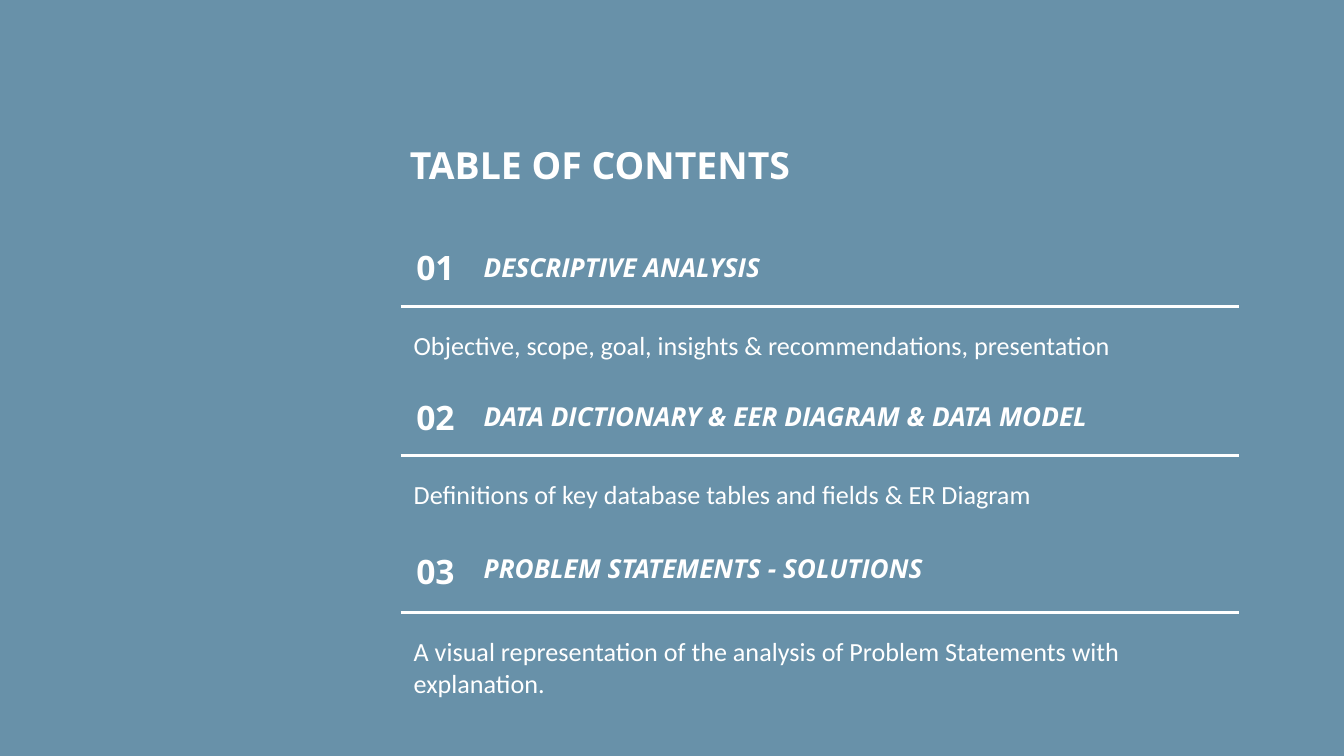
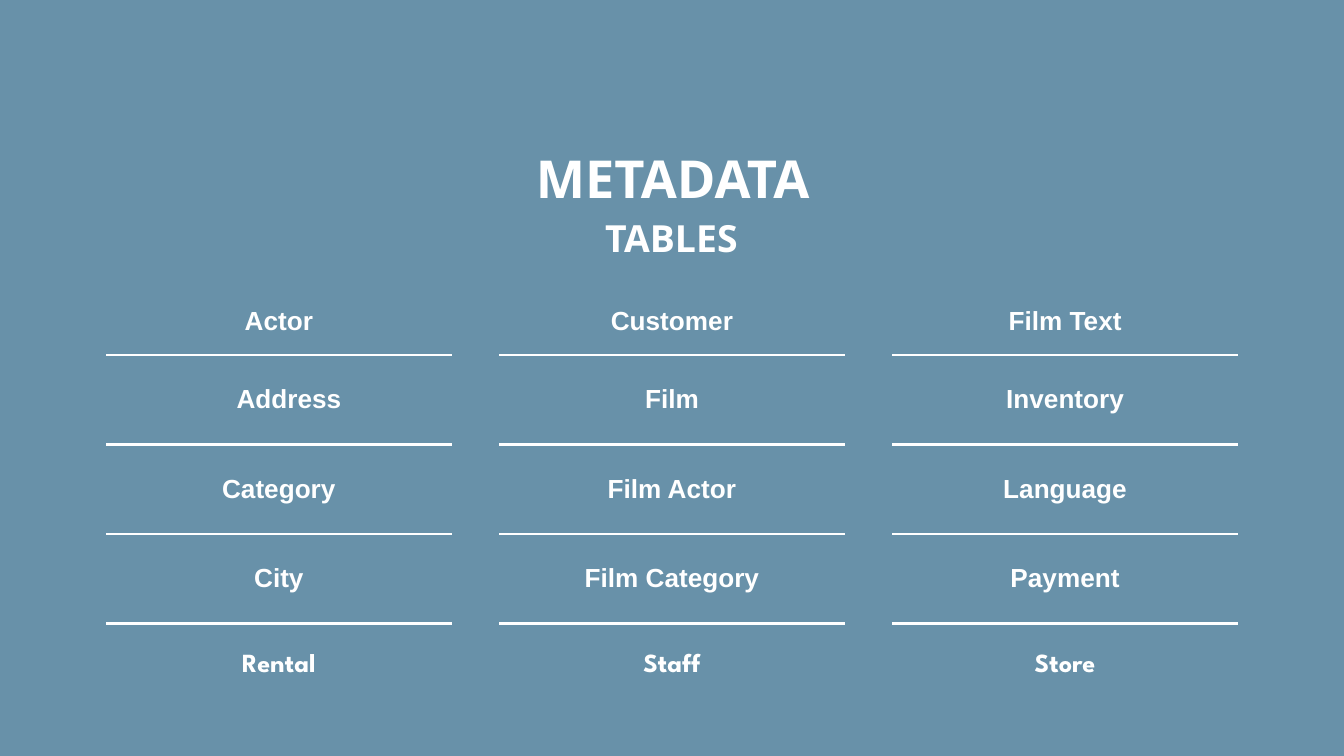
from collections import namedtuple
from dataclasses import dataclass

from lxml import etree
from pptx import Presentation
from pptx.dml.color import RGBColor
from pptx.enum import shapes, text
from pptx.oxml import ns
from pptx.util import Inches, Pt

Box = namedtuple("Box", "left top width height")


@dataclass(frozen=True)
class Theme:
    background: str = "6891A9"
    ink: str = "FFFFFF"
    heading_font: str = "Open Sans"
    body_font: str = "Calibri"
    table_font: str = "Arial"
    accent_font: str = "League Spartan"
    display_size: int = 28
    title_size: int = 20
    number_size: int = 18
    body_size: int = 14
    rule_width: float = 1.5
    inset: float = 0.1


THEME = Theme()
PLAIN_TABLE_STYLE = "{2D5ABB26-0587-4C30-8999-92F81FD0307C}"
LEFT, CENTER = text.PP_ALIGN.LEFT, text.PP_ALIGN.CENTER
TOP, MIDDLE = text.MSO_ANCHOR.TOP, text.MSO_ANCHOR.MIDDLE

CONTENTS = [
    # number, heading, description, top, heading height
    ("01", "DESCRIPTIVE ANALYSIS",
     "Objective, scope, goal, insights & recommendations, presentation", 1.77, 0.44),
    ("02", "DATA DICTIONARY & EER DIAGRAM & DATA MODEL",
     "Definitions of key database tables and fields & ER Diagram", 2.88, 0.44),
    ("03", "PROBLEM STATEMENTS - SOLUTIONS",
     "A visual representation of the analysis of Problem Statements with explanation.",
     4.01, 0.48),
]
TABLE_COLUMNS = [
    (["Actor", "Address", "Category", "City"], "Rental"),
    (["Customer", "Film", "Film Actor", "Film Category"], "Staff"),
    (["Film Text", "Inventory", "Language", "Payment"], "Store"),
]


def inches(box):
    return [Inches(value) for value in box]


def add_span(para, content, font=THEME.body_font, size=THEME.body_size, bold=False,
             italic=False, align=LEFT):
    para.alignment = align
    span = para.add_run()
    span.text = content
    span.font.name, span.font.size = font, Pt(size)
    span.font.bold, span.font.italic = bold, italic
    span.font.color.rgb = RGBColor.from_string(THEME.ink)


def write(frame, content, anchor=TOP, inset_y=THEME.inset, **style):
    """Fill a text frame with one formatted paragraph."""
    frame.word_wrap = True
    frame.auto_size = text.MSO_AUTO_SIZE.NONE
    frame.vertical_anchor = anchor
    frame.margin_left = frame.margin_right = Inches(THEME.inset)
    frame.margin_top = frame.margin_bottom = Inches(inset_y)
    add_span(frame.paragraphs[0], content, **style)


def add_text(parent, box, content, **style):
    write(parent.add_textbox(*inches(box)).text_frame, content, **style)


def set_title(page, box, content, size):
    title = page.shapes.title
    title.left, title.top, title.width, title.height = inches(box)
    write(title.text_frame, content, font=THEME.heading_font, size=size,
          bold=True, align=CENTER)


def add_rule(parent, left, top, width):
    ends = inches((left, top, left + width, top))
    rule = parent.add_connector(shapes.MSO_CONNECTOR.STRAIGHT, *ends)
    rule.line.color.rgb = RGBColor.from_string(THEME.ink)
    rule.line.width = Pt(THEME.rule_width)
    etree.SubElement(rule._element.spPr, ns.qn("a:effectLst"))


def add_bottom_border(cell):
    border = etree.Element(ns.qn("a:lnB"), w=str(Pt(THEME.rule_width)))
    fill = etree.SubElement(border, ns.qn("a:solidFill"))
    etree.SubElement(fill, ns.qn("a:srgbClr"), val=THEME.ink)
    cell._tc.get_or_add_tcPr().insert(0, border)


def add_contents_item(page, box, number, heading, description, heading_height):
    """Number and heading above a rule, description below it."""
    number_width, rule_gap = 0.52, 0.07
    group = page.shapes.add_group_shape().shapes
    rule_top = box.top + heading_height + rule_gap
    text_top = rule_top + rule_gap
    add_rule(group, box.left, rule_top, box.width)
    add_text(group, Box(box.left + number_width, box.top,
                        box.width - number_width, heading_height), heading,
             font=THEME.heading_font, bold=True, italic=True)
    add_text(group, Box(box.left, text_top, box.width,
                        box.top + box.height - text_top), description)
    add_text(group, Box(box.left, box.top, number_width, heading_height), number,
             font=THEME.heading_font, size=THEME.number_size, bold=True,
             align=CENTER, anchor=MIDDLE)


def add_name_table(page, box, names):
    """One-column table with a rule under each name."""
    first_height = 0.5
    table = page.shapes.add_table(len(names), 1, *inches(box)).table
    table.first_row = table.horz_banding = False
    table._tbl.tblPr.find(ns.qn("a:tableStyleId")).text = PLAIN_TABLE_STYLE
    other_height = (box.height - first_height) / (len(names) - 1)
    for index, name in enumerate(names):
        table.rows[index].height = Inches(other_height if index else first_height)
        cell = table.cell(index, 0)
        cell.fill.background()
        cell.vertical_anchor = MIDDLE
        cell.margin_left = cell.margin_right = Inches(THEME.inset)
        cell.margin_top = cell.margin_bottom = Inches(THEME.inset)
        para = cell.text_frame.paragraphs[0]
        add_span(para, name, font=THEME.table_font, bold=True, align=CENTER)
        if name == "Address":
            properties = para._p.get_or_add_pPr()
            properties.set("marL", str(Inches(0.15)))
            properties.set("indent", "0")
        add_bottom_border(cell)


def add_name_column(page, box, names, last_name):
    """Ruled table with one more name centred beneath it."""
    label_gap, label_width, label_height = 0.12, 1.0, 0.34
    add_name_table(page, box, names)
    add_text(page.shapes, Box(box.left + (box.width - label_width) / 2,
                              box.top + box.height + label_gap,
                              label_width, label_height), last_name,
             font=THEME.accent_font, bold=True, align=CENTER, inset_y=0.05)


def add_page(deck):
    title_only = deck.slide_layouts[5]
    return deck.slides.add_slide(title_only)


def build_contents(deck):
    page = add_page(deck)
    set_title(page, Box(1.42, 0.96, 6.09, 0.68), "TABLE OF CONTENTS", THEME.title_size)
    for number, heading, description, top, heading_height in CONTENTS:
        add_contents_item(page, Box(2.98, top, 6.24, 1.1), number, heading,
                          description, heading_height)


def build_metadata(deck):
    page = add_page(deck)
    set_title(page, Box(0.79, 0.99, 8.43, 0.63), "METADATA", THEME.display_size)
    add_text(page.shapes, Box(2.22, 1.5, 5.55, 0.44), "TABLES",
             font=THEME.heading_font, size=THEME.title_size, bold=True, align=CENTER)
    area = Box(0.79, 2.14, 8.42, 2.5)
    column_width = 2.57
    pitch = (area.width - column_width) / (len(TABLE_COLUMNS) - 1)
    for index, (names, last_name) in enumerate(TABLE_COLUMNS):
        add_name_column(page, Box(area.left + index * pitch, area.top,
                                  column_width, area.height), names, last_name)


def main():
    deck = Presentation()
    deck.slide_width = Inches(10)
    deck.slide_height = deck.slide_width * 9 // 16
    fill = deck.slide_master.background.fill
    fill.solid()
    fill.fore_color.rgb = RGBColor.from_string(THEME.background)
    build_contents(deck)
    build_metadata(deck)
    deck.save("out.pptx")


if __name__ == "__main__":
    main()
